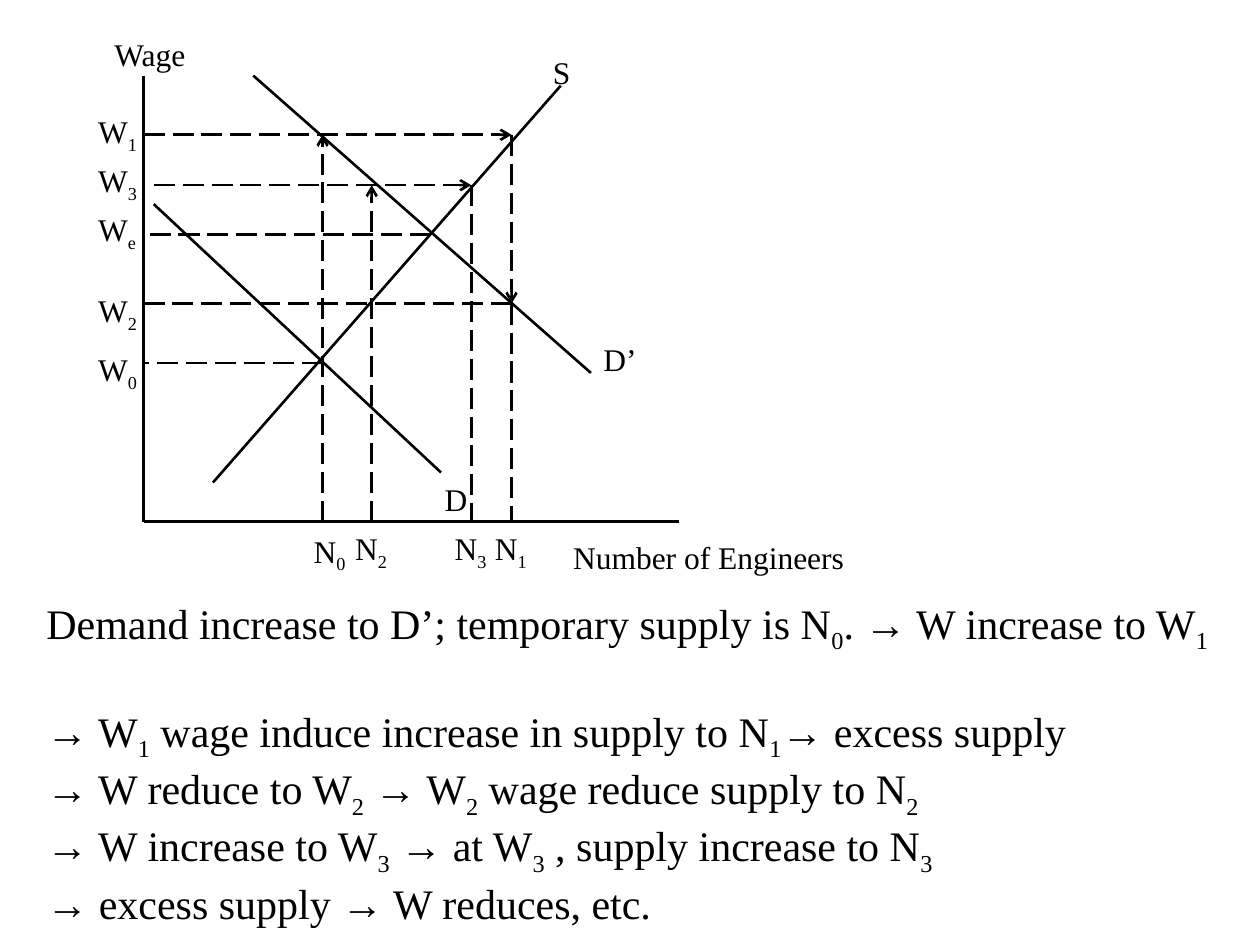
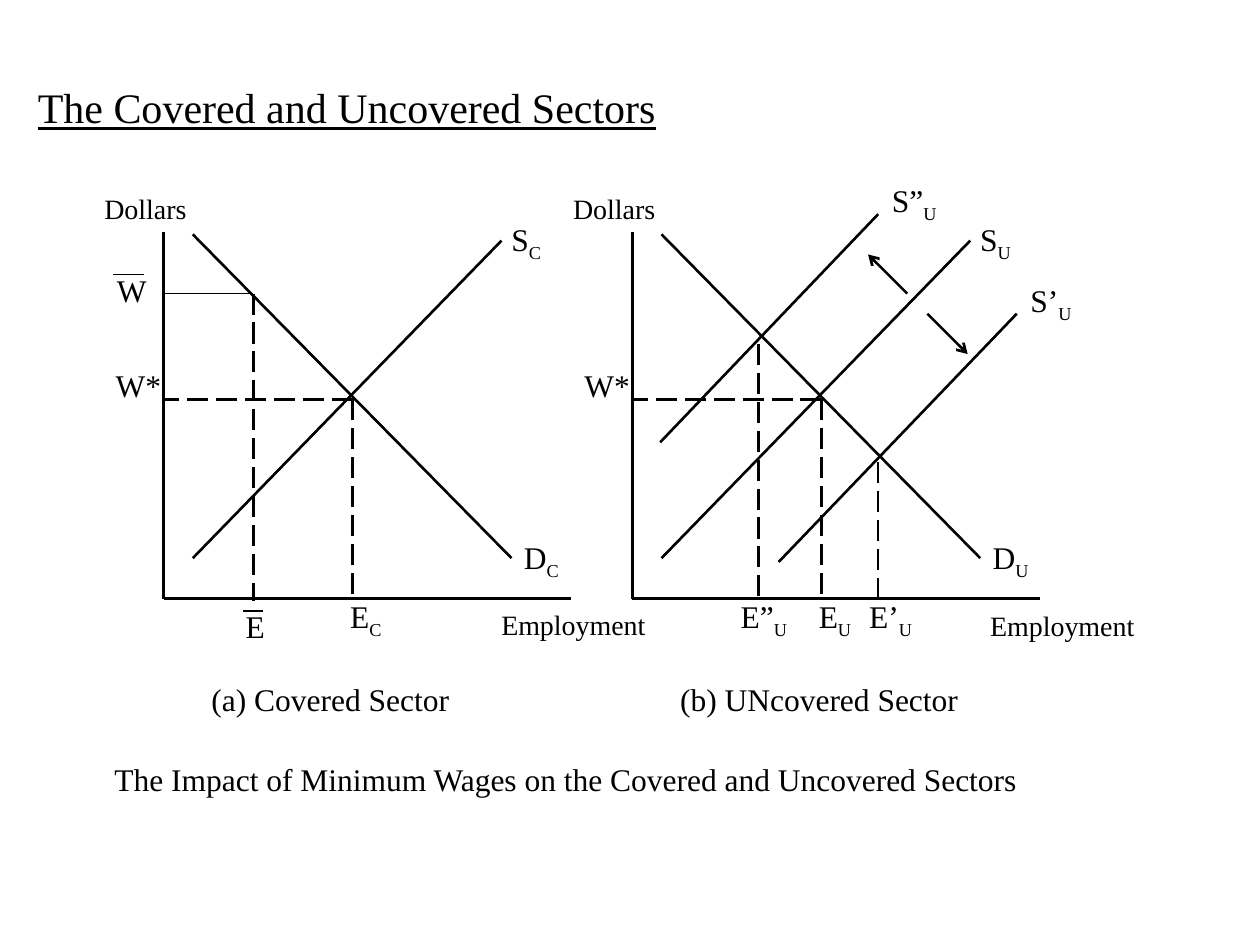
from typing import NamedTuple, Sequence

from lxml import etree
from pptx import Presentation
from pptx.dml.color import RGBColor
from pptx.enum.dml import MSO_LINE
from pptx.enum.text import MSO_ANCHOR, MSO_AUTO_SIZE, PP_ALIGN
from pptx.oxml.ns import qn
from pptx.slide import Slide
from pptx.text.text import TextFrame
from pptx.util import Inches, Pt

LONG_DASH = MSO_LINE.LONG_DASH
LEFT = PP_ALIGN.LEFT
TOP = MSO_ANCHOR.TOP
GROW = MSO_AUTO_SIZE.SHAPE_TO_FIT_TEXT

INK = "000000"
FONT = "Times New Roman"
LABEL_SIZE, AXIS_SIZE, BODY_SIZE = 18, 16, 24
THICK, THIN = 1.5, 0.75
LABEL_SLACK = 0.1
TITLE_ONLY, BLANK = 5, 6


class Segment(NamedTuple):
    x1: float
    y1: float
    x2: float
    y2: float
    dashed: bool = False
    arrow: bool = False
    weight: float = THICK


class Label(NamedTuple):
    """An underscore in the text lowers the character after it."""
    text: str
    left: float
    top: float
    width: float
    size: int = LABEL_SIZE


def colour(value: str) -> RGBColor:
    return RGBColor.from_string(value)


def write(frame: TextFrame, lines: Sequence[str], size: int) -> None:
    frame.word_wrap = True
    frame.auto_size = GROW
    frame.vertical_anchor = TOP
    for index, line in enumerate(lines):
        paragraph = frame.paragraphs[0] if index == 0 else frame.add_paragraph()
        paragraph.alignment = LEFT
        paragraph.font.name = FONT
        paragraph.font.size = Pt(size)
        paragraph.font.color.rgb = colour(INK)
        first, *rest = line.split("_")
        paragraph.add_run().text = first
        for piece in rest:
            subscript = paragraph.add_run()
            subscript.text = piece[0]
            subscript._r.get_or_add_rPr().set("baseline", "-25000")
            if piece[1:]:
                paragraph.add_run().text = piece[1:]


def draw_segments(slide: Slide, segments: Sequence[Segment], shift: float = 0) -> None:
    for seg in segments:
        connector = slide.shapes.add_connector(
            1, Inches(seg.x1 + shift), Inches(seg.y1),
            Inches(seg.x2 + shift), Inches(seg.y2))
        line = connector.line
        line.color.rgb = colour(INK)
        line.width = Pt(seg.weight)
        if seg.dashed:
            line.dash_style = LONG_DASH
        properties = connector._element.spPr
        if seg.arrow:
            etree.SubElement(properties.find(qn("a:ln")), qn("a:tailEnd"), type="arrow")
        etree.SubElement(properties, qn("a:effectLst"))


def draw_labels(slide: Slide, labels: Sequence[Label], shift: float = 0) -> None:
    for label in labels:
        height = 0.44 if "_" in label.text else 0.4 if label.size == LABEL_SIZE else 0.37
        box = slide.shapes.add_textbox(
            Inches(label.left + shift), Inches(label.top),
            Inches(label.width + LABEL_SLACK), Inches(height))
        write(box.text_frame, [label.text], label.size)


# Slide 1: engineers' labour market
AXIS_X, AXIS_Y = 1.14, 4.14
WAGES = {"0": 2.88, "1": 1.07, "2": 2.41, "3": 1.47, "e": 1.86}
ENGINEERS = {"0": 2.56, "1": 4.06, "2": 2.95, "3": 3.74}
WAGE_LABEL_TOPS = {"2": 2.26, "0": 2.73, "e": 1.62, "3": 1.23, "1": 0.84}
ENGINEER_LABELS = {"0": (2.39, 4.17), "2": (2.72, 4.15), "3": (3.51, 4.15), "1": (3.83, 4.15)}

MARKET_CURVES = [
    Segment(AXIS_X, AXIS_Y, AXIS_X, 0.6),
    Segment(AXIS_X, AXIS_Y, 5.39, AXIS_Y),
    Segment(1.69, 3.83, 4.45, 0.68),
    Segment(2.01, 0.6, 4.69, 2.96),
    Segment(1.22, 1.62, 3.5, 3.75),
]
MARKET_LABELS = [
    Label("Wage", 0.81, 0.23, 0.78),
    Label("Number of Engineers", 4.45, 4.22, 2.41),
    Label("D’", 4.69, 2.65, 0.46),
    Label("S", 4.29, 0.37, 0.34),
    Label("D", 3.43, 3.76, 0.38),
]
ADJUSTMENT = [
    "Demand increase to D’; temporary supply is N_0. → W increase to W_1",
    "→ W_1 wage induce increase in supply to N_1→ excess supply",
    "→ W reduce to W_2 → W_2 wage reduce supply to N_2",
    "→ W increase to W_3 → at W_3 , supply increase to N_3",
    "→ excess supply → W reduces, etc.",
]


def cobweb() -> list[Segment]:
    """Dashed guides that follow wage and supply from step to step."""
    n, w = ENGINEERS, WAGES
    return [
        Segment(n["0"], AXIS_Y, n["0"], w["1"], True, True),
        Segment(AXIS_X, w["1"], n["1"], w["1"], True, True),
        Segment(n["1"], w["1"], n["1"], w["2"], True, True),
        Segment(n["1"], w["2"], n["1"], AXIS_Y, True),
        Segment(n["1"], w["2"], AXIS_X, w["2"], True),
        Segment(n["2"], AXIS_Y, n["2"], w["3"], True, True),
        Segment(1.22, w["3"], n["3"], w["3"], True, True),
        Segment(n["3"], w["3"], n["3"], AXIS_Y, True),
        Segment(3.42, w["e"], AXIS_X, w["e"], True),
        Segment(n["0"], w["0"], AXIS_X, w["0"], True),
    ]


def build_engineer_market(prs: Presentation) -> None:
    slide = prs.slides.add_slide(prs.slide_layouts[BLANK])
    draw_segments(slide, MARKET_CURVES + cobweb())
    draw_labels(slide, MARKET_LABELS)
    draw_labels(slide, [Label(f"N_{step}", left, top, 0.45)
                        for step, (left, top) in ENGINEER_LABELS.items()])
    draw_labels(slide, [Label(f"W_{step}", 0.68, top, 0.51)
                        for step, top in WAGE_LABEL_TOPS.items()])
    steps = slide.shapes.add_textbox(Inches(0.27), Inches(4.69), Inches(9.53), Inches(2.78))
    write(steps.text_frame, ADJUSTMENT, BODY_SIZE)
    steps.text_frame.paragraphs[1].space_before = Pt(29)


# Slide 2: covered and uncovered sectors
SECTOR_SHIFT = 3.72
SECTOR_SEGMENTS = [
    Segment(1.3, 4.75, 1.3, 1.84),
    Segment(1.3, 4.75, 4.53, 4.75),
    Segment(1.53, 1.86, 4.06, 4.43),
    Segment(1.53, 4.43, 3.98, 1.91),
    Segment(2.8, 3.17, 1.3, 3.17, True),
    Segment(2.8, 3.17, 2.8, 4.75, True),
]
MINIMUM_WAGE_SEGMENTS = [
    Segment(1.3, 2.33, 2.01, 2.33, weight=THIN),
    Segment(2.01, 2.33, 2.01, 4.77, True),
    Segment(0.9, 2.18, 1.14, 2.18, weight=THIN),
    Segment(1.93, 4.85, 2.09, 4.85, weight=THIN),
]
MINIMUM_WAGE_LABELS = [
    Label("W", 0.83, 2.1, 0.43),
    Label("E", 1.85, 4.77, 0.35),
]
SUPPLY_SHIFT_SEGMENTS = [
    Segment(6.18, 4.46, 8.07, 2.49),
    Segment(5.24, 3.51, 6.97, 1.7),
    Segment(6.02, 2.73, 6.02, 4.77, True),
    Segment(6.97, 3.67, 6.97, 4.77, True),
    Segment(7.36, 2.49, 7.68, 2.81, arrow=True),
    Segment(7.2, 2.33, 6.89, 2.02, arrow=True),
]
SUPPLY_SHIFT_LABELS = [
    Label("S’_U", 8.08, 2.18, 0.52),
    Label("S”_U", 6.98, 1.39, 0.55),
    Label("E’_U", 6.8, 4.69, 0.54),
    Label("E”_U", 5.78, 4.69, 0.57),
]
FIGURE_CAPTION = Label(
    "The Impact of Minimum Wages on the Covered and Uncovered Sectors", 0.81, 5.98, 7.39)


def draw_sector(slide: Slide, letter: str, caption: str, caption_width: float,
                shift: float = 0) -> None:
    draw_segments(slide, SECTOR_SEGMENTS, shift)
    draw_labels(slide, [
        Label("Dollars", 0.73, 1.47, 0.85, AXIS_SIZE),
        Label("W*", 0.82, 2.86, 0.62),
        Label(f"E_{letter}", 2.68, 4.69, 0.46),
        Label(f"D_{letter}", 4.06, 4.22, 0.48),
        Label(f"S_{letter}", 3.96, 1.7, 0.44),
        Label(caption, 1.58, 5.35, caption_width),
    ], shift)


def build_sectors(prs: Presentation) -> None:
    slide = prs.slides.add_slide(prs.slide_layouts[TITLE_ONLY])
    title = slide.shapes.title
    title.left, title.top = Inches(0.2), Inches(0.6)
    title.width, title.height = Inches(5.3), Inches(0.5)
    write(title.text_frame, ["The Covered and Uncovered Sectors"], BODY_SIZE)
    title.text_frame.paragraphs[0].font.underline = True

    draw_sector(slide, "C", "(a) Covered Sector", 2.15)
    draw_segments(slide, MINIMUM_WAGE_SEGMENTS)
    draw_labels(slide, MINIMUM_WAGE_LABELS)

    draw_sector(slide, "U", "(b) UNcovered Sector", 2.47, SECTOR_SHIFT)
    draw_segments(slide, SUPPLY_SHIFT_SEGMENTS)
    draw_labels(slide, SUPPLY_SHIFT_LABELS)

    draw_labels(slide, [
        Label("Employment", 3.88, 4.77, 1.39, AXIS_SIZE),
        Label("Employment", 7.76, 4.78, 1.39, AXIS_SIZE),
        FIGURE_CAPTION,
    ])


def main() -> None:
    prs = Presentation()
    prs.slide_width, prs.slide_height = Inches(10), Inches(7.5)
    build_engineer_market(prs)
    build_sectors(prs)
    prs.save("out.pptx")


if __name__ == "__main__":
    main()
